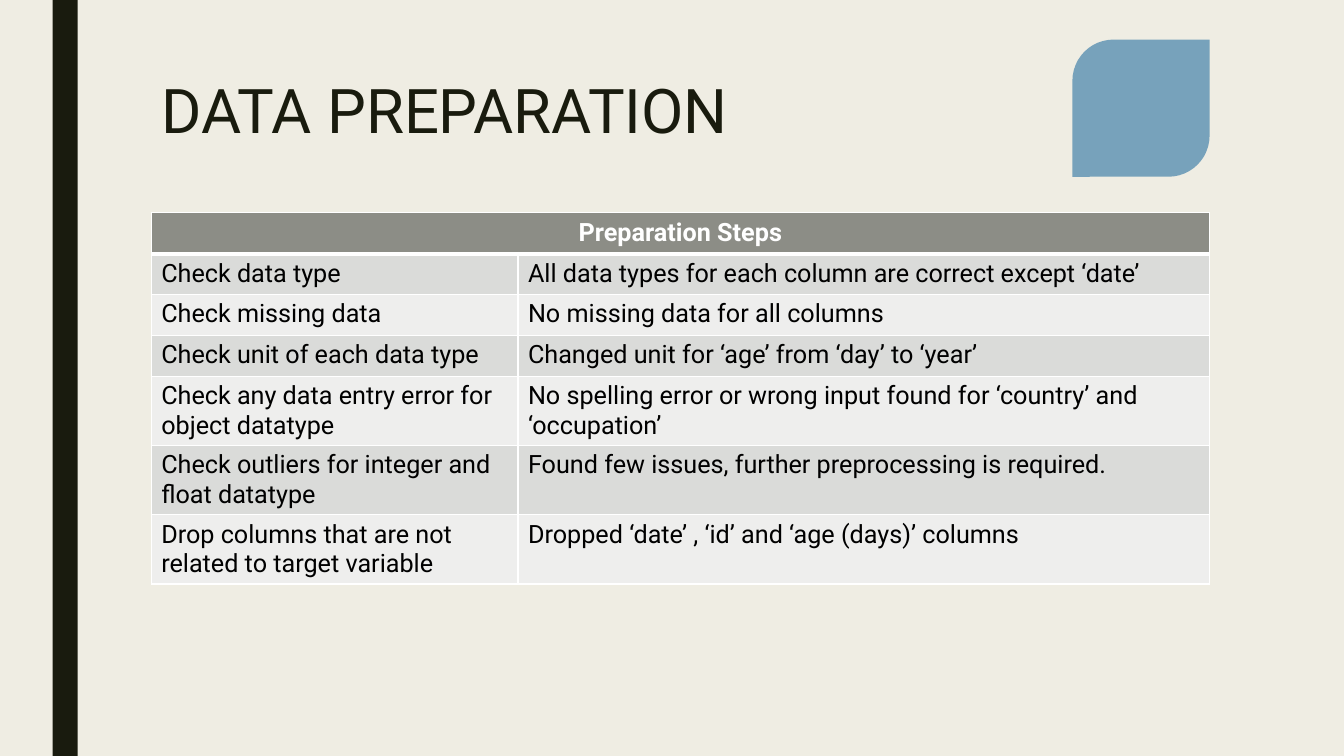
from lxml.etree import SubElement
from pptx import Presentation
from pptx.dml.color import RGBColor
from pptx.enum.shapes import MSO_SHAPE as SHAPE
from pptx.enum.text import MSO_ANCHOR as ANCHOR, PP_ALIGN as ALIGN
from pptx.oxml.ns import qn
from pptx.util import Pt

# Content
TITLE = "DATA PREPARATION"
HEADER = "Preparation Steps"
STEPS = [
    ("Check data type", "All data types for each column are correct except ‘date’"),
    ("Check missing data", "No missing data for all columns"),
    ("Check unit of each data type", "Changed unit for ‘age’ from ‘day’ to ‘year’"),
    ("Check any data entry error for object datatype",
     "No spelling error or wrong input found for ‘country’ and ‘occupation’"),
    ("Check outliers for integer and float datatype",
     "Found few issues, further preprocessing is required."),
    ("Drop columns that are not related to target variable",
     "Dropped ‘date’ , ‘id’ and ‘age (days)’ columns"),
]

# Style and layout, in points
FONT = "Roboto"
COLORS = {
    "background": "EFEDE3", "dark": "191B0E", "leaf": "77A2BB",
    "header": "8C8D86", "odd": "DADBD9", "even": "EEEEED",
    "white": "FFFFFF", "black": "000000",
}
LEFT, WIDTH = 108, 756
TABLE_TOP = 152
COL_WIDTHS = (262, 494)
ONE_LINE, TWO_LINES = 29.2, 49.4
ROW_HEIGHTS = [ONE_LINE] * 4 + [TWO_LINES] * 3
LEAF_SIZE = 98


def color(name):
    return RGBColor.from_string(COLORS[name])


def add_text(p, text, size, color_name, bold=False):
    r = p.add_run()
    r.text = text
    r.font.name, r.font.size, r.font.bold = FONT, Pt(size), bold
    r.font.color.rgb = color(color_name)


def add_block(s, kind, left, top, width, height, color_name):
    sp = s.shapes.add_shape(kind, Pt(left), Pt(top), Pt(width), Pt(height))
    sp.shadow.inherit = False
    sp.fill.solid()
    sp.fill.fore_color.rgb = color(color_name)
    sp.line.fill.background()
    return sp


def style_cell(cell, fill, bottom=1):
    tc_pr = cell._tc.get_or_add_tcPr()
    for side, width in (("L", 1), ("R", 1), ("T", 1), ("B", bottom)):
        ln = SubElement(tc_pr, qn(f"a:ln{side}"), w=str(Pt(width)))
        SubElement(SubElement(ln, qn("a:solidFill")), qn("a:srgbClr"),
                   val=COLORS["white"])
    cell.fill.solid()
    cell.fill.fore_color.rgb = color(fill)


prs = Presentation()
prs.slide_width, prs.slide_height = Pt(960), Pt(540)
s = prs.slides.add_slide(prs.slide_layouts[5])
s.background.fill.solid()
s.background.fill.fore_color.rgb = color("background")

# Side bar
add_block(s, SHAPE.RECTANGLE, 37.5, 0, 18, 540, "dark")

# Title
title = s.shapes.title
title.left, title.top = Pt(LEFT), Pt(54)
title.width, title.height = Pt(WIDTH), Pt(117)
tf = title.text_frame
tf.word_wrap = True
tf.vertical_anchor = ANCHOR.TOP
p = tf.paragraphs[0]
p.alignment, p.line_spacing = ALIGN.LEFT, 0.89
add_text(p, TITLE, 44, "dark")

# Table
table = s.shapes.add_table(len(ROW_HEIGHTS), len(COL_WIDTHS), Pt(LEFT), Pt(TABLE_TOP),
                           Pt(WIDTH), Pt(sum(ROW_HEIGHTS))).table
for column, width in zip(table.columns, COL_WIDTHS):
    column.width = Pt(width)
for row, height in zip(table.rows, ROW_HEIGHTS):
    row.height = Pt(height)

for cell in table.rows[0].cells:
    style_cell(cell, "header", bottom=3)
head = table.cell(0, 0)
head.merge(table.cell(0, 1))
p = head.text_frame.paragraphs[0]
p.alignment = ALIGN.CENTER
add_text(p, HEADER, 18, "white", bold=True)

for i, step in enumerate(STEPS, 1):
    for j, text in enumerate(step):
        cell = table.cell(i, j)
        style_cell(cell, "odd" if i % 2 else "even")
        add_text(cell.text_frame.paragraphs[0], text, 18, "black")

# Leaf shape, flush with the table's right edge
leaf = add_block(s, SHAPE.ROUND_2_DIAG_RECTANGLE, LEFT + WIDTH - LEAF_SIZE, 28.25,
                 LEAF_SIZE, LEAF_SIZE, "leaf")
leaf.adjustments[0] = 0.3

prs.save("out.pptx")
